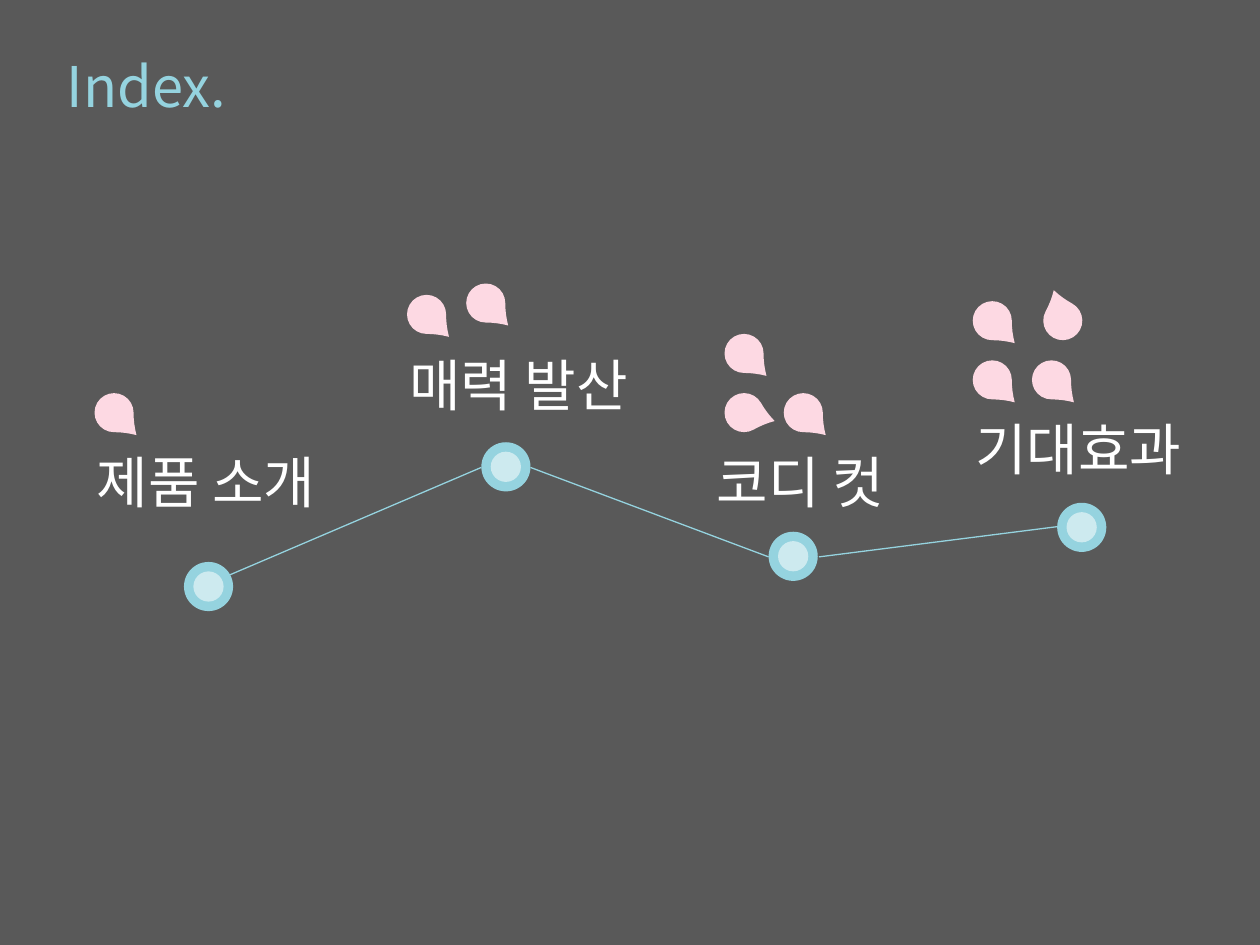
from lxml import etree
from pptx import Presentation
from pptx.dml.color import RGBColor
from pptx.enum import shapes, text
from pptx.oxml.ns import qn
from pptx.util import Inches, Pt

GRAY = RGBColor(0x59, 0x59, 0x59)
WHITE = RGBColor(0xFF, 0xFF, 0xFF)
BLUE = RGBColor(0x95, 0xD3, 0xDF)
PINK = RGBColor(0xFD, 0xD9, 0xE3)
FONT = "Noto Sans CJK KR"
KIND = shapes.MSO_SHAPE
RING, CORE, DROP = 0.39, 0.24, 0.31

# label, label place, node place, petals (left, top, turn)
TOPICS = [
    ("제품 소개", (0.67, 3.5), (1.46, 4.46), [(0.75, 3.12, 90)]),
    ("매력 발산", (3.15, 2.73), (3.82, 3.51),
     [(3.23, 2.34, 90), (3.7, 2.25, 90)]),
    ("코디 컷", (5.59, 3.5), (6.1, 4.22),
     [(5.75, 3.12, 60.3), (6.22, 3.12, 90), (5.75, 2.65, 90)]),
    ("기대효과", (7.64, 3.24), (8.39, 3.99),
     [(7.72, 2.86, 90), (8.19, 2.86, 90), (7.72, 2.39, 90),
      (8.28, 2.39, 298.5)]),
]
LINKS = [
    ((1.69, 4.62), (3.82, 3.71)),
    ((6.1, 4.42), (4.21, 3.71)),
    ((8.39, 4.18), (6.5, 4.42)),
]


def add_solid(parent, kind, left, top, width, height, color):
    shape = parent.add_shape(kind, Inches(left), Inches(top),
                             Inches(width), Inches(height))
    shape.shadow.inherit = False
    shape.fill.solid()
    shape.fill.fore_color.rgb = color
    shape.line.fill.background()
    return shape


def write(box, words, color):
    frame = box.text_frame
    frame.text = words
    frame.word_wrap = True
    frame.auto_size = text.MSO_AUTO_SIZE.SHAPE_TO_FIT_TEXT
    frame.vertical_anchor = text.MSO_ANCHOR.TOP
    para = frame.paragraphs[0]
    para.alignment = text.PP_ALIGN.LEFT
    para.font.size = Pt(32)
    para.font.name = FONT
    para.font.color.rgb = color
    # Hangul takes its typeface from a:ea
    props = para._p.pPr.find(qn("a:defRPr"))
    latin = props.find(qn("a:latin"))
    east = etree.Element(qn("a:ea"), typeface=FONT)
    latin.addnext(east)


def add_label(slide, words, left, top):
    box = slide.shapes.add_textbox(Inches(left), Inches(top),
                                   Inches(2.36), Inches(0.64))
    write(box, words, WHITE)


def set_title(slide, words):
    title = slide.shapes.title
    title.left, title.top = Inches(0.43), Inches(0.36)
    title.width, title.height = Inches(2.36), Inches(0.64)
    write(title, words, BLUE)


def add_back(slide):
    back = add_solid(slide.shapes, KIND.RECTANGLE, 0, 0, 10, 7.5, GRAY)
    slide.shapes.title.element.addprevious(back.element)


def add_petal(slide, left, top, turn):
    petal = add_solid(slide.shapes, KIND.TEAR, left, top, DROP, DROP, PINK)
    petal.adjustments[0] = 1.15
    petal.rotation = turn


def add_link(slide, start, end):
    points = [Inches(v) for v in start + end]
    link = slide.shapes.add_connector(shapes.MSO_CONNECTOR.STRAIGHT, *points)
    link.line.color.rgb = BLUE
    link.line.width = Pt(0.75)
    etree.SubElement(link.element.spPr, qn("a:effectLst"))


def add_node(slide, left, top):
    """Group a ring with a translucent core at its centre."""
    group = slide.shapes.add_group_shape()
    add_solid(group.shapes, KIND.OVAL, left, top, RING, RING, BLUE)
    inset = (RING - CORE) / 2
    core = add_solid(group.shapes, KIND.OVAL, left + inset, top + inset,
                     CORE, CORE, WHITE)
    tint = core.element.spPr.find(qn("a:solidFill"))[0]
    etree.SubElement(tint, qn("a:alpha"), val="53000")


def main():
    deck = Presentation()
    deck.slide_width, deck.slide_height = Inches(10), Inches(7.5)
    slide = deck.slides.add_slide(deck.slide_layouts[5])
    add_back(slide)
    set_title(slide, "Index.")
    for words, place, _, petals in TOPICS:
        add_label(slide, words, *place)
        for petal in petals:
            add_petal(slide, *petal)
    for start, end in LINKS:
        add_link(slide, start, end)
    for _, _, spot, _ in TOPICS:
        add_node(slide, *spot)
    deck.save("out.pptx")


if __name__ == "__main__":
    main()
